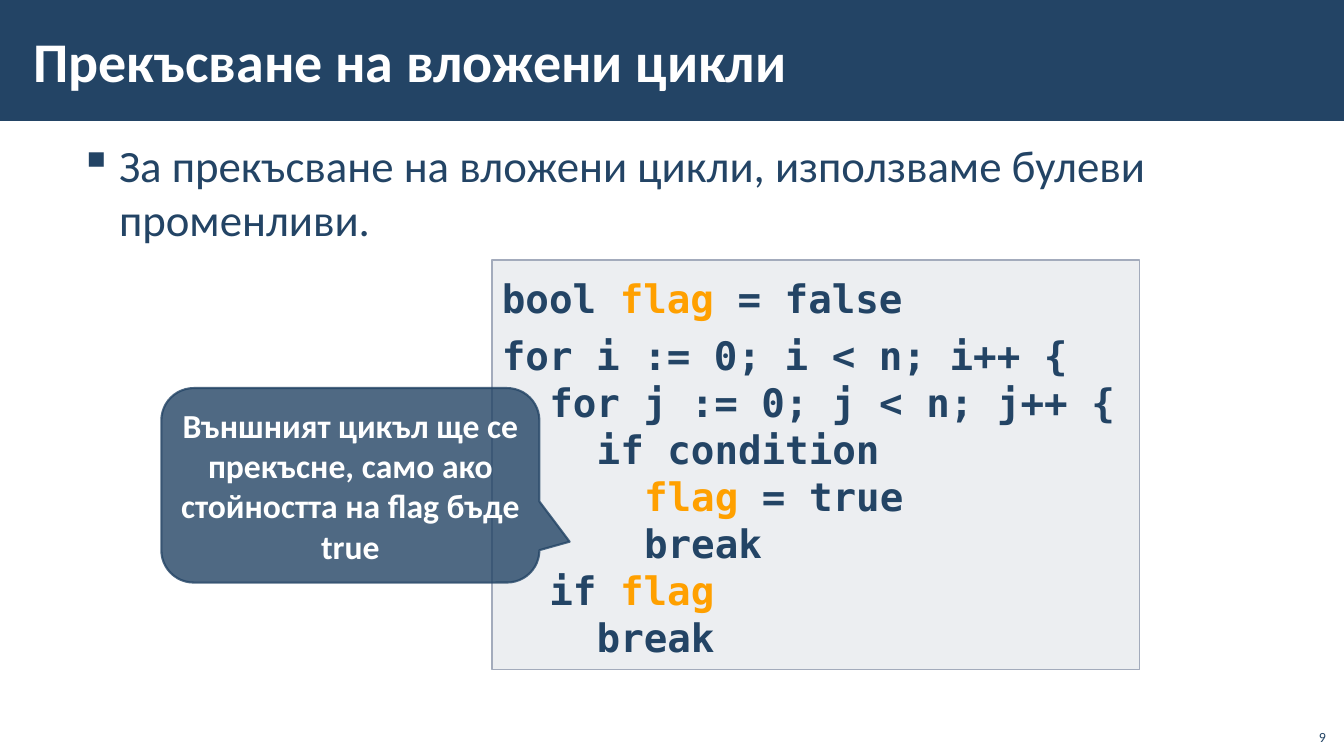
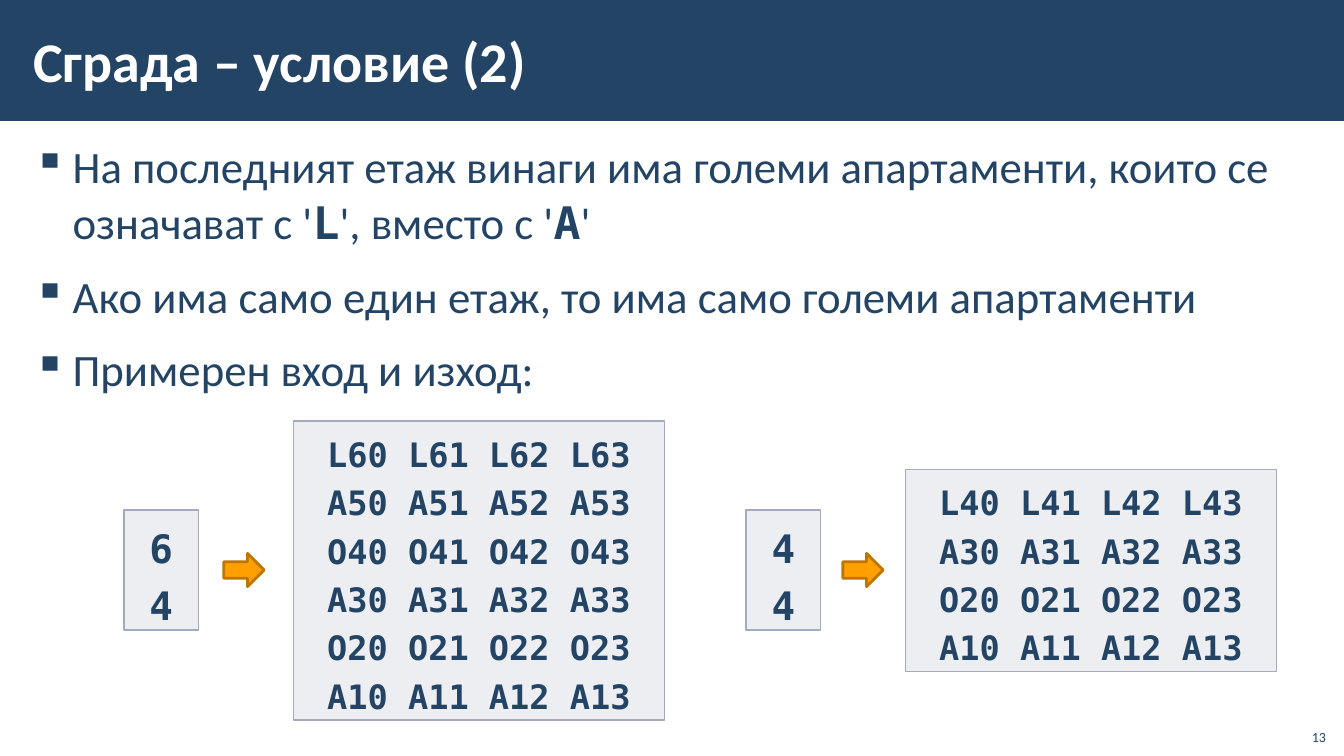
from lxml.etree import SubElement
from pptx import Presentation
from pptx.dml.color import RGBColor
from pptx.enum.shapes import MSO_SHAPE
from pptx.enum.text import MSO_ANCHOR, MSO_AUTO_SIZE, PP_ALIGN
from pptx.oxml.ns import qn
from pptx.util import Inches, Pt

NAVY, WHITE, GRAY = "234465", "FFFFFF", "A3ABBC"
ORANGE, DARK_ORANGE = "FFA000", "BD7600"
SANS, MONO = "Calibri", "DejaVu Sans Mono"
CODE_INDENT = 0.47


def paint(fill, color, opacity=100):
    fill.solid()
    fill.fore_color.rgb = RGBColor.from_string(color)
    if opacity < 100:
        rgb = fill.fore_color._color._xClr
        SubElement(rgb, qn("a:alpha")).set("val", str(opacity * 1000))


def write(shape, lines, size=32, font=SANS, color=NAVY, bold=False, accent=None,
          align=PP_ALIGN.LEFT, anchor=MSO_ANCHOR.TOP, spacing=1.0, gap=0,
          bullet=None, inset=(0.1, 0.05)):
    frame = shape.text_frame
    frame.word_wrap = True
    frame.vertical_anchor = anchor
    frame.margin_left = frame.margin_right = Inches(inset[0])
    frame.margin_top = frame.margin_bottom = Inches(inset[1])
    plain = {"font": font, "color": color, "bold": bold}
    for index, line in enumerate(lines):
        para = frame.add_paragraph() if index else frame.paragraphs[0]
        para.alignment = align
        para.line_spacing = spacing
        para.space_before = para.space_after = Pt(gap)
        content = line.lstrip()
        level = (len(line) - len(content)) // 2
        properties = para._p.get_or_add_pPr()
        if bullet:
            properties.set("marL", str(Inches(0.39)))
            properties.set("indent", str(-Inches(0.39)))
            SubElement(properties, qn("a:buChar")).set("char", bullet)
        elif level:
            properties.set("marL", str(Inches(CODE_INDENT * level)))
        for position, piece in enumerate(content.split("|")):
            if not piece:
                continue
            style = {**plain, **accent} if position % 2 else plain
            span = para.add_run()
            span.text = piece
            span.font.size = Pt(size)
            span.font.name = style["font"]
            span.font.bold = style["bold"]
            paint(span.font.fill, style["color"])


deck = Presentation()
deck.slide_width, deck.slide_height = Inches(13.33), Inches(7.5)
layout = deck.slide_layouts[5]

slides = [
    ("Прекъсване на вложени цикли", "9", (0.67, 1.33, 11.98, 1.24), 1.0,
     ["За прекъсване на вложени цикли, използваме булеви променливи."]),
    ("Сграда – условие (2)", "13", (0.21, 1.31, 12.92, 6.05), 1.05,
     ["На последният етаж винаги има големи апартаменти, които се "
      "означават с '|L|', вместо с '|А|'",
      "Ако има само един етаж, то има само големи апартаменти",
      "Примерен вход и изход:"]),
]
pages = []
for title, number, area, spacing, bullets in slides:
    page = deck.slides.add_slide(layout)
    pages.append(page)
    heading = page.shapes.title
    heading.left, heading.top = Inches(0.21), Inches(0.11)
    heading.width, heading.height = Inches(10.63), Inches(0.97)
    write(heading, [title], size=40, color=WHITE, bold=True,
          anchor=MSO_ANCHOR.MIDDLE, inset=(0.12, 0.04))
    body = page.shapes.add_textbox(*map(Inches, area))
    write(body, bullets, accent={"font": MONO, "bold": True}, spacing=spacing,
          gap=6, bullet="▪", inset=(0.12, 0.04))
    page_number = page.shapes.add_textbox(
        Inches(12.85), Inches(7.12), Inches(0.4), Inches(0.32))
    write(page_number, [number], size=10, align=PP_ALIGN.RIGHT,
          anchor=MSO_ANCHOR.BOTTOM)

loops_page, building_page = pages

band = loops_page.shapes.add_shape(
    MSO_SHAPE.RECTANGLE, 0, 0, deck.slide_width, Inches(1.2))
band.shadow.inherit = False
paint(band.fill, NAVY)
band.line.fill.background()
layout.shapes._spTree.insert(2, band._element)

code = [
    "bool |flag| = false",
    "for i := 0; i < n; i++ {",
    "  for j := 0; j < n; j++ {",
    "    if condition",
    "      |flag| = true",
    "      break",
    "  if |flag|",
    "    break",
]
panels = [(loops_page, code, 28, PP_ALIGN.LEFT, 1.0, (4.88, 2.58, 6.42, 4.06))]

examples = [
    (["6", "4"], "LAOAOA", 1.23, 2.22, 2.91),
    (["4", "4"], "LAOA", 7.4, 8.36, 8.98),
]
middle = 5.66
for numbers, kinds, input_left, arrow_left, output_left in examples:
    floors = len(kinds)
    rows = [" ".join(f"{kind}{floors - index}{room}" for room in range(4))
            for index, kind in enumerate(kinds)]
    height = 0.48 * floors + 0.09
    panels.append((building_page, numbers, 28, PP_ALIGN.CENTER, 1.2,
                   (input_left, middle - 0.6, 0.74, 1.19)))
    panels.append((building_page, rows, 24, PP_ALIGN.CENTER, 1.2,
                   (output_left, middle - height / 2, 3.68, height)))
    arrow = building_page.shapes.add_shape(
        MSO_SHAPE.RIGHT_ARROW, Inches(arrow_left), Inches(middle - 0.17),
        Inches(0.4), Inches(0.33))
    arrow.shadow.inherit = False
    paint(arrow.fill, ORANGE)
    paint(arrow.line.fill, DARK_ORANGE)
    arrow.line.width = Pt(2)

for page, lines, size, align, spacing, area in panels:
    panel = page.shapes.add_shape(MSO_SHAPE.RECTANGLE, *map(Inches, area))
    panel.shadow.inherit = False
    paint(panel.fill, GRAY, opacity=20)
    paint(panel.line.fill, GRAY)
    panel.line.width = Pt(1)
    write(panel, lines, size=size, font=MONO, bold=True, align=align,
          spacing=spacing, accent={"color": ORANGE})
    panel.text_frame.auto_size = MSO_AUTO_SIZE.SHAPE_TO_FIT_TEXT
    if lines is code:
        for para in panel.text_frame.paragraphs[:2]:
            para.line_spacing = 1.2

callout = loops_page.shapes.add_shape(
    MSO_SHAPE.ROUNDED_RECTANGULAR_CALLOUT,
    Inches(1.6), Inches(3.85), Inches(3.75), Inches(1.93))
callout.shadow.inherit = False
callout.adjustments[0] = 0.58
callout.adjustments[1] = 0.29
paint(callout.fill, NAVY, opacity=80)
paint(callout.line.fill, NAVY, opacity=80)
callout.line.width = Pt(1.5)
write(callout,
      ["Външният цикъл ще се прекъсне, само ако стойността на flag бъде true"],
      size=24, color=WHITE, bold=True, align=PP_ALIGN.CENTER,
      anchor=MSO_ANCHOR.MIDDLE)

deck.save("out.pptx")
